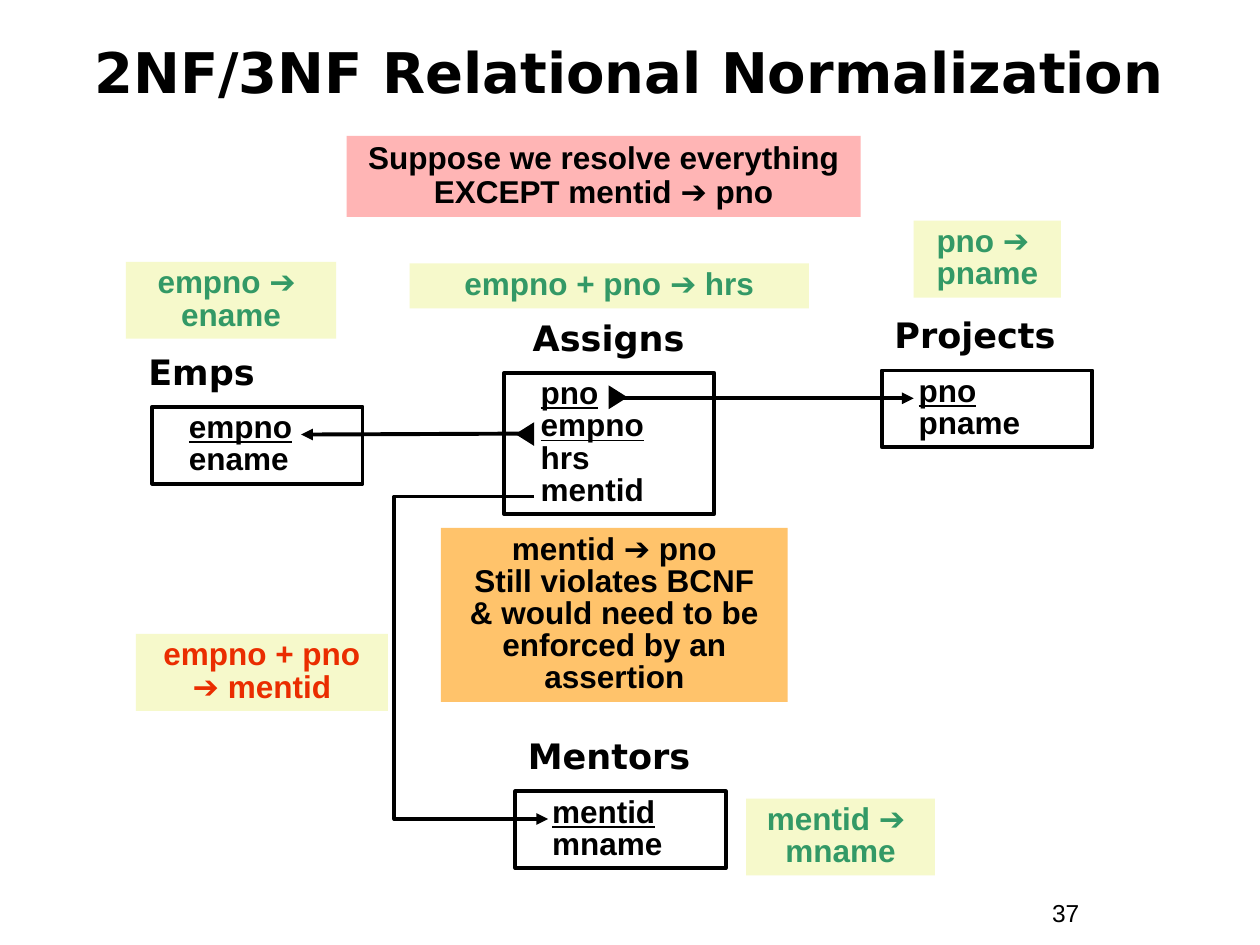
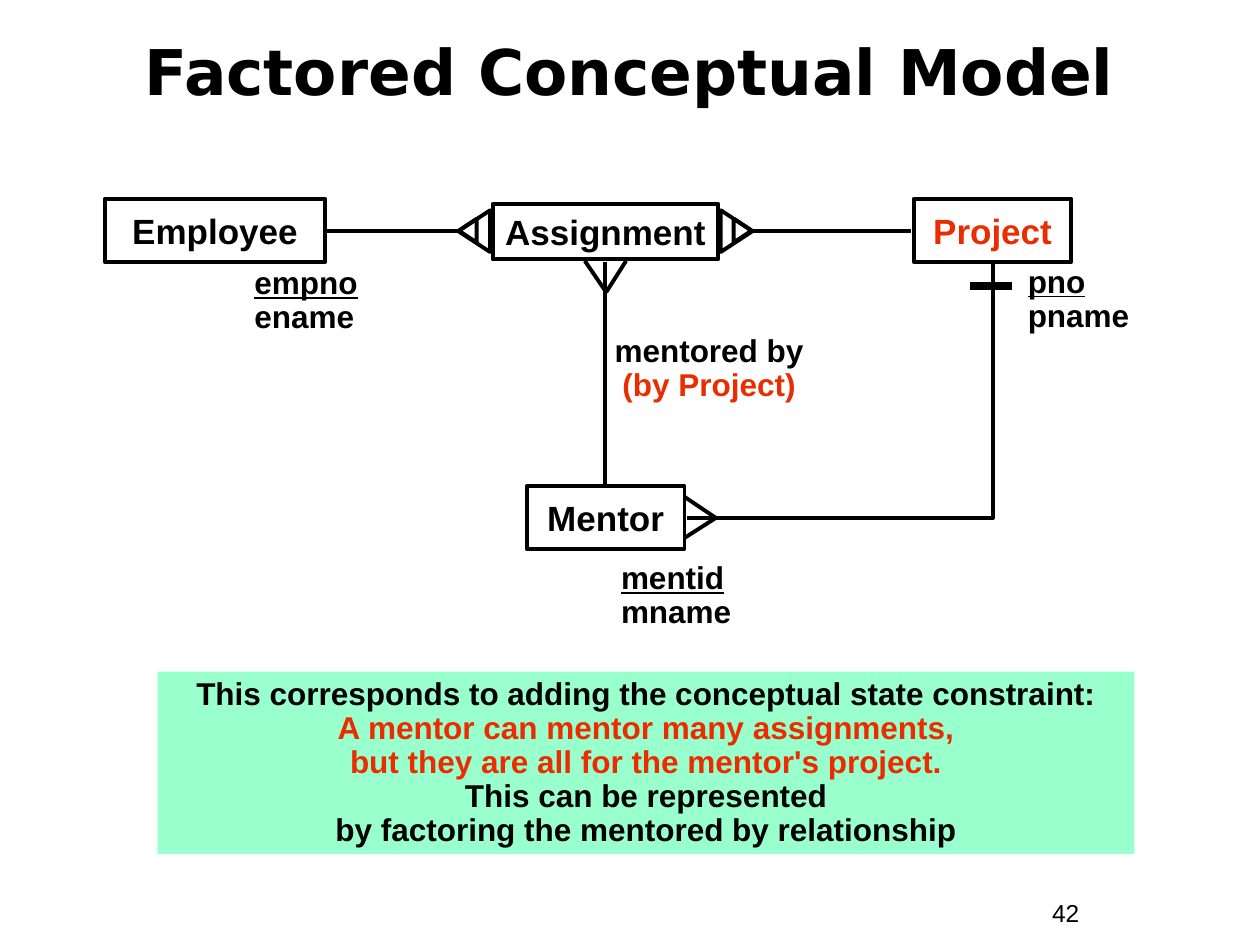
from dataclasses import dataclass
from typing import Any, NamedTuple

from lxml.etree import SubElement
from pptx import Presentation
from pptx.dml.color import RGBColor
from pptx.enum.shapes import MSO_CONNECTOR, MSO_SHAPE
from pptx.enum.text import MSO_ANCHOR, MSO_AUTO_SIZE, PP_ALIGN
from pptx.oxml.ns import qn
from pptx.util import Cm, Pt

BODY_FONT = "Arial"
HEADING_FONT = "DejaVu Sans"
BLACK = "000000"
RED = "EA2D00"
GREEN = "339966"
PALE_YELLOW = "F6F9CB"
ORANGE = "FFC36B"
PINK = "FFB5B5"
MINT = "99FFCC"
LINE_WIDTH = 2.25
RELATION_WIDTH = 4.24
FRAME = {"margin_left": Cm(0.25), "margin_right": Cm(0.25),
         "margin_top": Cm(0.13), "margin_bottom": Cm(0.13),
         "word_wrap": True, "auto_size": MSO_AUTO_SIZE.SHAPE_TO_FIT_TEXT}


class Point(NamedTuple):
    x: float
    y: float


class Box(NamedTuple):
    left: float
    top: float
    width: float
    height: float

    def lengths(self) -> list[Cm]:
        return [Cm(side) for side in self]


class Run(NamedTuple):
    text: str
    color: str = BLACK
    underline: bool = False


@dataclass
class Relation:
    name: str
    corner: Point
    height: float
    keys: list[str]
    others: list[str]
    name_shift: float = 0


@dataclass
class Note:
    box: Box
    runs: list[Run]
    fill: str | None = PALE_YELLOW
    spacing: float = 0.85


@dataclass
class Entity:
    name: str
    box: Box
    color: str = BLACK
    fits_text: bool = False


@dataclass
class Attributes:
    corner: Point
    key: str
    other: str


@dataclass
class Marker:
    box: Box
    rotation: int
    solid: bool = False


def set_values(target: Any, values: dict[str, Any]) -> None:
    for name, value in values.items():
        setattr(target, name, value)


def paint(fill: Any, color: str | None) -> None:
    """Fill with a hex colour, or clear the fill when there is none."""
    if color is None:
        fill.background()
    else:
        fill.solid()
        fill.fore_color.rgb = RGBColor.from_string(color)


def write(shape: Any, paragraphs: list[list[Run]], frame: dict[str, Any] | None = None,
          layout: dict[str, Any] | None = None, font: dict[str, Any] | None = None) -> None:
    """Put runs in a shape; a newline in a run is a line break."""
    text_frame = shape.text_frame
    set_values(text_frame, FRAME | (frame or {}))
    font_values = {"name": BODY_FONT, "size": Pt(18), "bold": True} | (font or {})
    for index, runs in enumerate(paragraphs):
        paragraph = text_frame.add_paragraph() if index else text_frame.paragraphs[0]
        set_values(paragraph, {"alignment": PP_ALIGN.LEFT} | (layout or {}))
        for run in runs:
            for line, words in enumerate(run.text.split("\n")):
                if line:
                    paragraph.add_line_break()
                if words:
                    piece = paragraph.add_run()
                    piece.text = words
                    set_values(piece.font, font_values | {"underline": run.underline})
                    paint(piece.font.fill, run.color)


def add_label(slide: Any, box: Box, paragraphs: list[list[Run]], **formats: Any) -> None:
    write(slide.shapes.add_textbox(*box.lengths()), paragraphs, **formats)


def add_block(slide: Any, box: Box, fill: str | None = None, border: str | None = BLACK,
              preset: MSO_SHAPE = MSO_SHAPE.RECTANGLE) -> Any:
    block = slide.shapes.add_shape(preset, *box.lengths())
    block.shadow.inherit = False
    paint(block.fill, fill)
    paint(block.line.fill, border)
    if border:
        block.line.width = Pt(LINE_WIDTH)
    return block


def add_line(slide: Any, start: Point, end: Point, arrow: bool = False,
             width: float = LINE_WIDTH, kind: MSO_CONNECTOR = MSO_CONNECTOR.STRAIGHT) -> Any:
    line = slide.shapes.add_connector(kind, *(Cm(value) for value in (*start, *end)))
    paint(line.line.fill, BLACK)
    line.line.width = Pt(width)
    if arrow:
        SubElement(line.line._get_or_add_ln(), qn("a:tailEnd"), type="triangle")
    SubElement(line._element.spPr, qn("a:effectLst"))
    return line


def add_detour(slide: Any, start: Point, end: Point, bend_x: float) -> None:
    """Arrow that runs sideways to bend_x before it turns to its end."""
    line = add_line(slide, start, end, arrow=True, kind=MSO_CONNECTOR.ELBOW)
    ratio = round((bend_x - start.x) / (end.x - start.x) * 100000)
    guides = line._element.spPr.find(qn("a:prstGeom")).get_or_add_avLst()
    SubElement(guides, qn("a:gd"), name="adj1", fmla=f"val {ratio}")


def add_corner(slide: Any, start: Point, end: Point) -> None:
    """Line with one right angle, sideways first."""
    line = add_line(slide, start, end, kind=MSO_CONNECTOR.ELBOW)
    line._element.spPr.find(qn("a:prstGeom")).set("prst", "bentConnector2")


def add_crow_foot(slide: Any, tip: Point, toes: list[Point]) -> None:
    for toe in toes:
        add_line(slide, tip, toe)


def add_marker(slide: Any, marker: Marker) -> None:
    colors = (BLACK, None) if marker.solid else (None, BLACK)
    triangle = add_block(slide, marker.box, *colors, preset=MSO_SHAPE.ISOSCELES_TRIANGLE)
    triangle.rotation = marker.rotation


def add_relation(slide: Any, relation: Relation) -> None:
    left, top = relation.corner
    add_label(slide, Box(left + relation.name_shift, top - 1.27, RELATION_WIDTH, 1.12),
              [[Run(relation.name)]], font={"name": HEADING_FONT, "size": Pt(20)})
    columns = [[Run(key, underline=True)] for key in relation.keys]
    columns += [[Run(other)] for other in relation.others]
    write(add_block(slide, Box(left, top, RELATION_WIDTH, relation.height)), columns,
          frame={"margin_left": Cm(0.74)}, layout={"line_spacing": 0.85})


def add_note(slide: Any, note: Note) -> None:
    write(add_block(slide, note.box, note.fill, border=None), [note.runs],
          layout={"alignment": PP_ALIGN.CENTER, "line_spacing": note.spacing,
                  "space_before": Pt(11.2)})


def add_entity(slide: Any, entity: Entity) -> None:
    fit = MSO_AUTO_SIZE.SHAPE_TO_FIT_TEXT if entity.fits_text else MSO_AUTO_SIZE.NONE
    write(add_block(slide, entity.box), [[Run(entity.name, entity.color)]],
          frame={"vertical_anchor": MSO_ANCHOR.MIDDLE, "word_wrap": False, "auto_size": fit},
          layout={"alignment": PP_ALIGN.CENTER, "space_before": Pt(12.5)},
          font={"size": Pt(20)})


def add_attributes(slide: Any, attributes: Attributes) -> None:
    add_label(slide, Box(*attributes.corner, 2.97, 1.63),
              [[Run(attributes.key, underline=True)], [Run(attributes.other)]],
              layout={"line_spacing": 0.9})


def start_slide(deck: Any, heading: str, heading_size: int, page: int) -> Any:
    slide = deck.slides.add_slide(deck.slide_layouts[5])
    title = slide.shapes.title
    set_values(title, dict(zip(("left", "top", "width", "height"),
                               Box(0.84, 0.36, 23.7, 2.34).lengths())))
    write(title, [[Run(heading)]],
          frame={"vertical_anchor": MSO_ANCHOR.MIDDLE, "auto_size": MSO_AUTO_SIZE.NONE},
          layout={"alignment": PP_ALIGN.CENTER, "line_spacing": 0.85},
          font={"name": HEADING_FONT, "size": Pt(heading_size)})
    add_label(slide, Box(20.96, 17.98, 2.34, 0.86), [[Run(str(page))]],
              layout={"space_before": Pt(8.8)}, font={"size": Pt(14), "bold": False})
    return slide


def build_normalization(deck: Any) -> None:
    slide = start_slide(deck, "2NF/3NF Relational Normalization", 32, 37)
    for relation in (
        Relation("Projects", Point(17.78, 7.47), 1.55, ["pno"], ["pname"]),
        Relation("Mentors", Point(10.39, 15.95), 1.55, ["mentid"], ["mname"]),
        Relation("Assigns", Point(10.16, 7.52), 2.84, ["pno", "empno"], ["hrs", "mentid"], 0.33),
        Relation("Emps", Point(3.07, 8.2), 1.55, ["empno"], ["ename"], -0.33),
    ):
        add_relation(slide, relation)
    add_detour(slide, Point(10.77, 10.01), Point(11.05, 16.51), bend_x=7.95)
    add_line(slide, Point(12.32, 8.03), Point(18.42, 8.03), arrow=True)
    add_line(slide, Point(10.74, 8.74), Point(6.07, 8.76), arrow=True)
    for note in (
        Note(Box(15.04, 16.1, 3.81, 1.55), [Run("mentid ➔ \nmname", GREEN)]),
        Note(Box(18.42, 4.45, 2.97, 1.55), [Run("pno ➔ \npname", GREEN)]),
        Note(Box(8.89, 10.64, 6.99, 3.51),
             [Run("mentid ➔ pno\nStill violates BCNF\n"
                  "& would need to be enforced by an assertion")], ORANGE),
        Note(Box(2.74, 12.78, 5.08, 1.55), [Run("empno + pno\n➔ mentid", RED)]),
        Note(Box(2.54, 5.28, 4.24, 1.55), [Run("empno ➔ \nename", GREEN)]),
        Note(Box(8.26, 5.31, 8.05, 0.91), [Run("empno + pno ➔ hrs", GREEN)]),
        Note(Box(6.99, 2.74, 10.36, 1.63),
             [Run("Suppose we resolve everything EXCEPT mentid ➔ pno")], PINK, 0.9),
    ):
        add_note(slide, note)
    add_marker(slide, Marker(Box(12.22, 7.82, 0.48, 0.38), 90, solid=True))
    add_marker(slide, Marker(Box(10.34, 8.56, 0.48, 0.38), 270, solid=True))


def build_conceptual_model(deck: Any) -> None:
    slide = start_slide(deck, "Factored Conceptual Model", 36, 42)
    add_note(slide, Note(Box(3.18, 13.54, 19.69, 3.68), [
        Run("This corresponds to adding the conceptual state constraint:\n"),
        Run("A mentor can mentor many assignments,\n"
            "but they are all for the mentor's project.\n", RED),
        Run("This can be represented\nby factoring the mentored by relationship"),
    ], MINT, 0.9))
    for attributes in (
        Attributes(Point(4.88, 5.26), "empno", "ename"),
        Attributes(Point(12.27, 11.2), "mentid", "mname"),
        Attributes(Point(20.47, 5.23), "pno", "pname"),
    ):
        add_attributes(slide, attributes)
    for entity in (
        Entity("Mentor", Box(10.62, 9.8, 3.18, 1.27)),
        Entity("Employee", Box(2.11, 4.01, 4.45, 1.27)),
        Entity("Project", Box(18.42, 4.01, 3.18, 1.27), RED),
        Entity("Assignment", Box(9.93, 4.11, 4.55, 1.12), fits_text=True),
    ):
        add_entity(slide, entity)
    add_line(slide, Point(12.2, 5.28), Point(12.2, 9.75))
    add_corner(slide, Point(13.84, 10.44), Point(20.02, 5.33))
    add_line(slide, Point(6.6, 4.65), Point(9.27, 4.65))
    add_line(slide, Point(18.36, 4.65), Point(15.16, 4.65))
    add_line(slide, Point(20.4, 5.77), Point(19.56, 5.77), width=4.5)
    add_crow_foot(slide, Point(14.43, 10.44), [Point(13.79, 10.01), Point(13.79, 10.85)])
    add_crow_foot(slide, Point(12.22, 5.89), [Point(12.62, 5.26), Point(11.79, 5.26)])
    for outer_left, inner_left, rotation in ((14.43, 14.73, 90), (9.14, 9.19, 270)):
        add_marker(slide, Marker(Box(outer_left, 4.34, 0.84, 0.64), rotation))
        add_marker(slide, Marker(Box(inner_left, 4.47, 0.48, 0.36), rotation))
    add_note(slide, Note(Box(12.07, 6.63, 4.45, 1.63),
                         [Run("mentored by\n"), Run("(by Project)", RED)], None, 0.9))


def main() -> None:
    deck = Presentation()
    set_values(deck, {"slide_width": Cm(25.4), "slide_height": Cm(19.05)})
    build_normalization(deck)
    build_conceptual_model(deck)
    deck.save("out.pptx")


if __name__ == "__main__":
    main()
